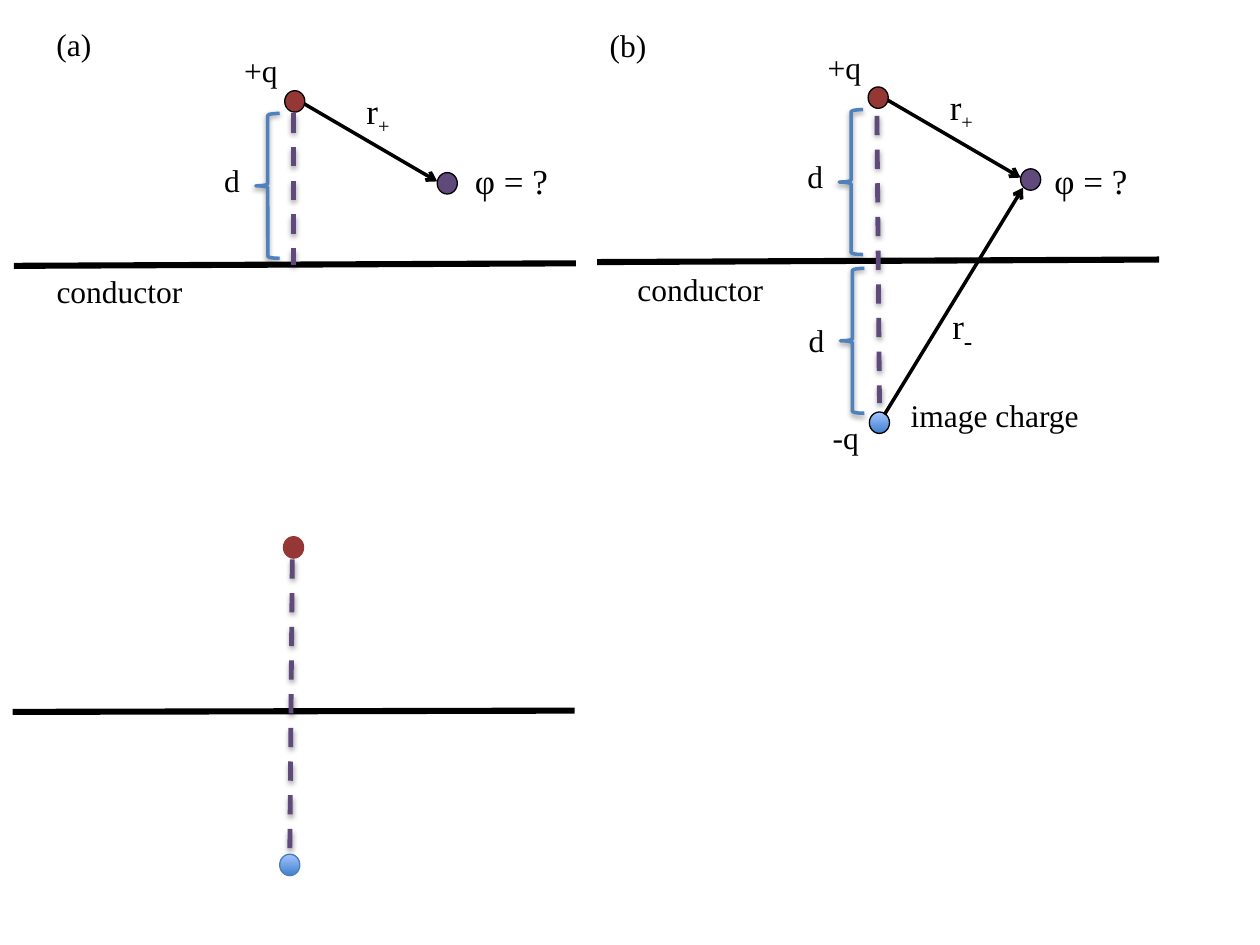
from dataclasses import dataclass

from lxml import etree
from pptx import Presentation
from pptx.dml.color import RGBColor
from pptx.enum.dml import MSO_LINE
from pptx.enum.shapes import MSO_CONNECTOR, MSO_SHAPE
from pptx.enum.text import MSO_AUTO_SIZE
from pptx.oxml.ns import qn
from pptx.util import Inches, Pt

STRAIGHT = MSO_CONNECTOR.STRAIGHT
OVAL = MSO_SHAPE.OVAL
LEFT_BRACE = MSO_SHAPE.LEFT_BRACE
DASH = MSO_LINE.DASH
GROW = MSO_AUTO_SIZE.SHAPE_TO_FIT_TEXT

BLACK = RGBColor(0x00, 0x00, 0x00)
RED = RGBColor(0x95, 0x37, 0x35)
PURPLE = RGBColor(0x60, 0x4A, 0x7B)
BRACE_BLUE = RGBColor(0x4F, 0x81, 0xBD)
DEEP_BLUE = RGBColor(0x3F, 0x80, 0xCE)
PALE_BLUE = RGBColor(0xA4, 0xC4, 0xFF)
RIM_BLUE = RGBColor(0x4B, 0x7E, 0xBC)

FONT = "Times New Roman"
PANEL_DX, PANEL_DY = 4.63, -0.03


@dataclass(frozen=True)
class Stroke:
    color: RGBColor
    width: float
    dashed: bool = False
    arrow: bool = False
    shadow: bool = False


@dataclass(frozen=True)
class Label:
    text: str
    left: float
    top: float
    width: float
    size: float = 18
    subscript: str = ""
    subscript_size: float = 20


VECTOR = Stroke(BLACK, 2, arrow=True)
SURFACE = Stroke(BLACK, 3.5)
AXIS = Stroke(PURPLE, 2.75, dashed=True, shadow=True)
BRACE = Stroke(BRACE_BLUE, 2, shadow=True)


def add_effects(properties, shadow: bool) -> None:
    effects = etree.SubElement(properties, qn("a:effectLst"))
    if shadow:
        outer = etree.SubElement(effects, qn("a:outerShdw"), blurRad=str(Pt(3.1)),
                                 dist=str(Pt(1.6)), dir="5400000", rotWithShape="0")
        color = etree.SubElement(outer, qn("a:srgbClr"), val=str(BLACK))
        etree.SubElement(color, qn("a:alpha"), val="38000")


def apply_stroke(line, stroke: Stroke) -> None:
    line.color.rgb = stroke.color
    line.width = Pt(stroke.width)
    if stroke.dashed:
        line.dash_style = DASH


def draw_line(slide, x1: float, y1: float, x2: float, y2: float, stroke: Stroke) -> None:
    segment = slide.shapes.add_connector(
        STRAIGHT, Inches(x1), Inches(y1), Inches(x2), Inches(y2))
    apply_stroke(segment.line, stroke)
    properties = segment.element.spPr
    if stroke.arrow:
        etree.SubElement(properties.find(qn("a:ln")), qn("a:tailEnd"), type="arrow")
    add_effects(properties, stroke.shadow)


def draw_brace(slide, left: float, top: float) -> None:
    brace = slide.shapes.add_shape(
        LEFT_BRACE, Inches(left), Inches(top), Inches(0.19), Inches(1.15))
    brace.fill.background()
    apply_stroke(brace.line, BRACE)
    add_effects(brace.element.spPr, BRACE.shadow)


def draw_charge(slide, left: float, top: float, fill: RGBColor, rim: RGBColor = BLACK):
    charge = slide.shapes.add_shape(
        OVAL, Inches(left), Inches(top), Inches(0.16), Inches(0.17))
    charge.fill.solid()
    charge.fill.fore_color.rgb = fill
    apply_stroke(charge.line, Stroke(rim, 0.75))
    charge.shadow.inherit = False
    return charge


def draw_image_charge(slide, left: float, top: float, rim: RGBColor) -> None:
    fill = draw_charge(slide, left, top, DEEP_BLUE, rim).fill
    fill.gradient()
    fill.gradient_angle = 90
    for stop, position, color in zip(fill.gradient_stops, (0, 1), (DEEP_BLUE, PALE_BLUE)):
        stop.position = position
        stop.color.rgb = color


def add_run(paragraph, text: str, size: float):
    run = paragraph.add_run()
    run.text = text
    run.font.name = FONT
    run.font.size = Pt(size)
    run.font.color.rgb = BLACK
    return run


def draw_label(slide, label: Label) -> None:
    height = 0.44 if label.size == 20 else 0.4
    box = slide.shapes.add_textbox(
        Inches(label.left), Inches(label.top), Inches(label.width), Inches(height))
    frame = box.text_frame
    frame.word_wrap = True
    frame.auto_size = GROW
    paragraph = frame.paragraphs[0]
    add_run(paragraph, label.text, label.size)
    if label.subscript:
        subscript = add_run(paragraph, label.subscript, label.subscript_size)
        subscript.font._element.set("baseline", "-25000")


def draw_panel(slide, dx: float, dy: float, axis: tuple[float, float, float, float]) -> None:
    draw_line(slide, 2.39 + dx, 0.81 + dy, 3.47 + dx, 1.44 + dy, VECTOR)
    draw_line(slide, 0.11 + dx, 2.11 + dy, 4.57 + dx, 2.09 + dy, SURFACE)
    draw_charge(slide, 2.26 + dx, 0.72 + dy, RED)
    draw_line(slide, *axis, AXIS)
    draw_brace(slide, 2.03 + dx, 0.9 + dy)
    draw_charge(slide, 3.47 + dx, 1.37 + dy, PURPLE)
    for label in (
        Label("+q", 1.84 + dx, 0.36 + dy, 0.66),
        Label("d", 1.68 + dx, 1.23 + dy, 0.33),
        Label("r", 2.81 + dx, 0.66 + dy, 0.66, 20, "+"),
    ):
        draw_label(slide, label)


LABELS = (
    Label("(a)", 0.35, 0.15, 0.66),
    Label("conductor", 0.35, 2.11, 1.22),
    Label("φ = ?", 3.67, 1.22, 0.92, 20),
    Label("(b)", 4.74, 0.16, 0.66),
    Label("conductor", 4.96, 2.09, 1.22),
    Label("φ = ?", 8.27, 1.22, 0.94, 20),
    Label("d", 6.32, 2.5, 0.33),
    Label("r", 7.46, 2.3, 0.66, 20, "-", 25),
    Label("image charge", 7.13, 3.09, 1.66),
    Label("-q", 6.51, 3.27, 0.66),
)


def main() -> None:
    deck = Presentation()
    deck.slide_width, deck.slide_height = Inches(10), Inches(7.5)
    slide = deck.slides.add_slide(deck.slide_layouts[6])

    draw_panel(slide, 0, 0, (2.33, 0.9, 2.33, 2.1))

    draw_line(slide, 0.1, 5.65, 4.56, 5.64, SURFACE)
    draw_image_charge(slide, 2.22, 6.78, RIM_BLUE)
    draw_charge(slide, 2.25, 4.26, RED, RED)
    draw_line(slide, 2.32, 4.44, 2.3, 6.76, AXIS)

    draw_panel(slide, PANEL_DX, PANEL_DY, (6.96, 0.92, 6.98, 3.2))
    draw_image_charge(slide, 6.9, 3.27, BLACK)
    draw_brace(slide, 6.67, 2.13)
    draw_line(slide, 7.02, 3.29, 8.12, 1.49, VECTOR)

    for label in LABELS:
        draw_label(slide, label)
    deck.save("out.pptx")


if __name__ == "__main__":
    main()
